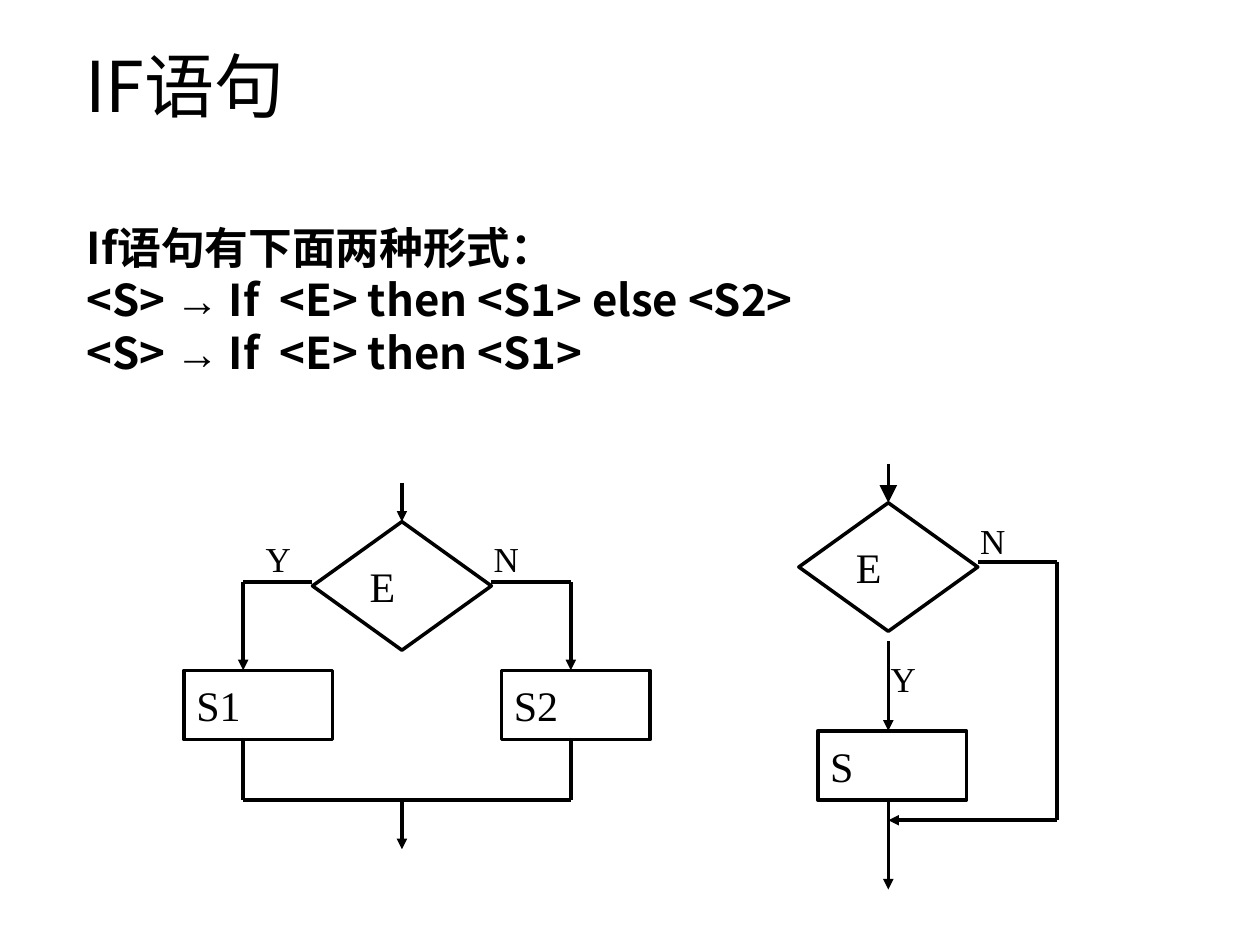
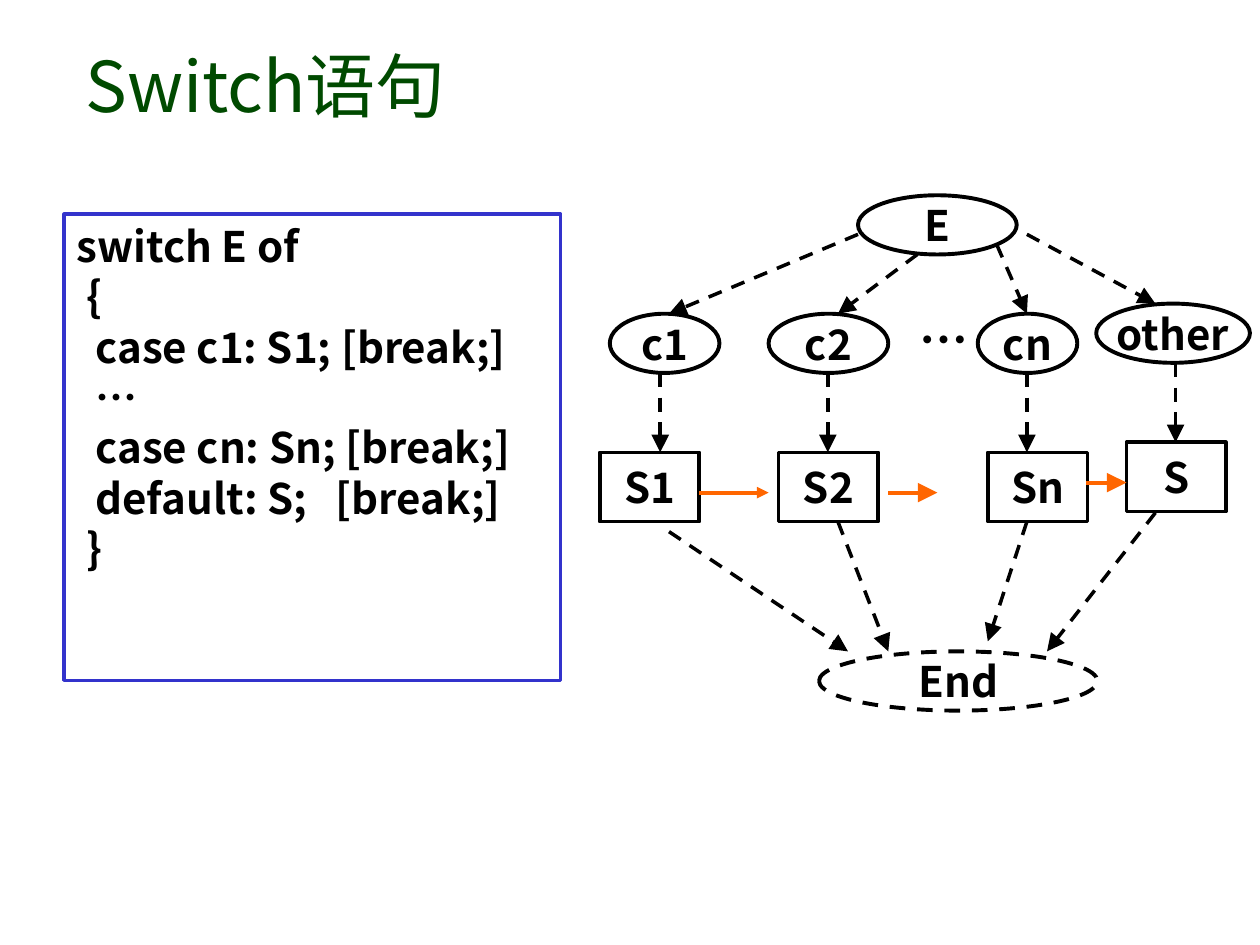
import pptx
import pptx.util
import pptx.dml.color
import pptx.enum.dml
import pptx.enum.shapes
import pptx.enum.text
import pptx.oxml
import pptx.oxml.ns

Inches = pptx.util.Inches
Pt = pptx.util.Pt
KIND = pptx.enum.shapes.MSO_SHAPE
ANCHOR = pptx.enum.text.MSO_ANCHOR
DASH = pptx.enum.dml.MSO_LINE.DASH
SANS = "Noto Sans CJK KR"
SERIF = "Times New Roman"
BLACK, GREEN, BLUE, ORANGE = "000000", "004A00", "3333CC", "FF6600"


def color(code):
    return pptx.dml.color.RGBColor.from_string(code)


def add_node(parent, tag, **attrs):
    node = pptx.oxml.parse_xml(f"<{tag} {pptx.oxml.ns.nsdecls('a')}/>")
    for name, value in attrs.items():
        node.set(name, value)
    parent.append(node)


def style(run, size, face, bold=False, ink=BLACK):
    run.font.size = Pt(size)
    run.font.bold = bold
    run.font.color.rgb = color(ink)
    run.font.name = face
    add_node(run.font._element, "a:ea", typeface=face)


def write(shape, lines, size, face, bold=False, ink=BLACK, center=False):
    frame = shape.text_frame
    frame.word_wrap = not center
    frame.text = "\n".join(lines)
    for para in frame.paragraphs:
        para.alignment = pptx.enum.text.PP_ALIGN.CENTER if center else pptx.enum.text.PP_ALIGN.LEFT
        for run in para.runs:
            style(run, size, face, bold, ink)


def add_text(slide, box, lines, size, face, bold=False, ink=BLACK):
    shape = slide.shapes.add_textbox(*map(Inches, box))
    write(shape, lines, size, face, bold, ink)
    return shape


def add_title(slide, text, ink):
    shape = add_text(slide, (0.58, 0.17, 8.49, 1), [text], 40, SANS, ink=ink)
    shape.text_frame.vertical_anchor = ANCHOR.MIDDLE


def add_rules(slide, box, rules):
    shape = slide.shapes.add_textbox(*map(Inches, box))
    frame = shape.text_frame
    frame.word_wrap = True
    for i, rule in enumerate(rules):
        para = frame.add_paragraph() if i else frame.paragraphs[0]
        head, arrow, rest = rule.partition("→")
        for part, face in ((head, SANS), (arrow, "Arial"), (rest, SANS)):
            if part:
                run = para.add_run()
                run.text = part
                style(run, 25, face, True)


def add_node_shape(slide, kind, box, width=2, ink=BLACK, dash=False):
    shape = slide.shapes.add_shape(kind, *map(Inches, box))
    shape.shadow.inherit = False
    shape.fill.background()
    shape.line.color.rgb = color(ink)
    shape.line.width = Pt(width)
    if dash:
        shape.line.dash_style = DASH
    shape.text_frame.vertical_anchor = ANCHOR.MIDDLE
    return shape


def add_step(slide, kind, box, text):
    write(add_node_shape(slide, kind, box), [text], 24, SERIF)


def add_state(slide, kind, box, text, dash=False):
    width = 2.25 if kind == KIND.OVAL else 2
    write(add_node_shape(slide, kind, box, width, dash=dash), [text], 24, SANS, True, center=True)


def add_line(slide, start, end, head=None, ink=BLACK, width=2, dash=False):
    link = slide.shapes.add_connector(
        pptx.enum.shapes.MSO_CONNECTOR.STRAIGHT, *map(Inches, (*start, *end)))
    link.line.color.rgb = color(ink)
    link.line.width = Pt(width)
    if dash:
        link.line.dash_style = DASH
    if head:
        add_node(link.line._get_or_add_ln(), "a:tailEnd", type="triangle", w=head, len=head)
    add_node(link._element.spPr, "a:effectLst")


def add_path(slide, points, head=None):
    last = len(points) - 2
    for i, (start, end) in enumerate(zip(points, points[1:])):
        add_line(slide, start, end, head if i == last else None)


def add_test(slide, left, top, head):
    mid = left + 0.71
    add_line(slide, (mid, top - 0.31), (mid, top), head)
    add_step(slide, KIND.FLOWCHART_DECISION, (left, top, 1.42, 1.02), "E")
    add_label(slide, left + 1.34, top + 0.08, "N")


def add_label(slide, left, top, text):
    add_text(slide, (left, top, 0.47, 0.43), [text], 20, SERIF)


def add_box(slide, left, top, text):
    add_step(slide, KIND.FLOWCHART_PROCESS, (left, top, 1.18, 0.55), text)


def draw_else(slide):
    add_test(slide, 2.48, 4.14, "med")
    add_label(slide, 2.01, 4.22, "Y")
    for edge, mid, left, text in ((2.48, 1.93, 1.46, "S1"), (3.9, 4.53, 3.98, "S2")):
        add_path(slide, [(edge, 4.62), (mid, 4.62), (mid, 5.32)], "med")
        add_box(slide, left, 5.32, text)
        add_line(slide, (mid, 5.88), (mid, 6.35))
    add_line(slide, (1.93, 6.35), (4.53, 6.35))
    add_line(slide, (3.19, 6.35), (3.19, 6.74), "med")


def draw_then(slide):
    add_test(slide, 6.34, 3.99, "lg")
    add_line(slide, (7.05, 5.09), (7.05, 5.8), "med")
    add_label(slide, 6.97, 5.17, "Y")
    add_box(slide, 6.49, 5.8, "S")
    add_line(slide, (7.05, 6.35), (7.05, 7.06), "med")
    add_path(slide, [(7.76, 4.46), (8.39, 4.46), (8.39, 6.51), (7.05, 6.51)], "med")


def draw_code(slide):
    shape = add_node_shape(slide, KIND.RECTANGLE, (0.51, 1.7, 3.94, 3.7), ink=BLUE)
    shape.text_frame.vertical_anchor = ANCHOR.TOP
    write(shape, [
        "switch E of",
        " {",
        "  case c1: S1; [break;]",
        "  …",
        "  case cn: Sn; [break;]",
        "  default: S;   [break;]",
        " }",
    ], 24, SANS, True)


def draw_switch(slide):
    add_state(slide, KIND.OVAL, (6.81, 1.55, 1.26, 0.47), "E")
    add_state(slide, KIND.OVAL, (6.5, 5.17, 2.21, 0.47), "End", True)
    add_text(slide, (7.2, 2.41, 0.71, 0.56), ["…"], 28, SANS, True)
    cases = [
        ("c1", "S1", 4.84, 0.87, 4.76, 2.49, 5.24),
        ("c2", "S2", 6.1, 0.95, 6.18, 2.49, 6.57),
        ("cn", "Sn", 7.76, 0.79, 7.84, 2.49, 8.15),
        ("other", "S", 8.7, 1.22, 8.94, 2.41, 9.33),
    ]
    for case, step, left, wide, side, top, mid in cases:
        add_state(slide, KIND.OVAL, (left, top, wide, 0.47), case)
        add_state(slide, KIND.RECTANGLE, (side, top + 1.1, 0.79, 0.55), step)
        add_line(slide, (mid, top + 0.47), (mid, top + 1.1), "lg", dash=True)
    jumps = [
        ((6.81, 1.86), (5.31, 2.49)), ((7.28, 2.02), (6.65, 2.49)),
        ((7.91, 1.94), (8.15, 2.49)), ((8.15, 1.86), (9.17, 2.41)),
        ((5.31, 4.22), (6.73, 5.17)), ((6.65, 4.14), (7.05, 5.17)),
        ((8.15, 4.14), (7.84, 5.09)), ((9.17, 4.07), (8.31, 5.17)),
    ]
    for start, end in jumps:
        add_line(slide, start, end, "lg", dash=True)
    for left, right, y, head in ((5.55, 6.1, 3.91, "med"), (7.05, 7.44, 3.91, "lg"),
                                 (8.62, 8.94, 3.83, "lg")):
        add_line(slide, (left, y), (right, y), head, ORANGE, 2.25)


def main():
    deck = pptx.Presentation()
    deck.slide_width, deck.slide_height = Inches(10), Inches(7.5)
    blank = deck.slide_layouts[6]

    slide = deck.slides.add_slide(blank)
    add_title(slide, "IF语句", BLACK)
    add_rules(slide, (0.59, 1.7, 8.5, 4.5), [
        "If语句有下面两种形式：",
        "<S> → If  <E> then <S1> else <S2>",
        "<S> → If  <E> then <S1>",
    ])
    draw_else(slide)
    draw_then(slide)

    slide = deck.slides.add_slide(blank)
    add_title(slide, "Switch语句", GREEN)
    draw_code(slide)
    draw_switch(slide)
    deck.save("out.pptx")


if __name__ == "__main__":
    main()
